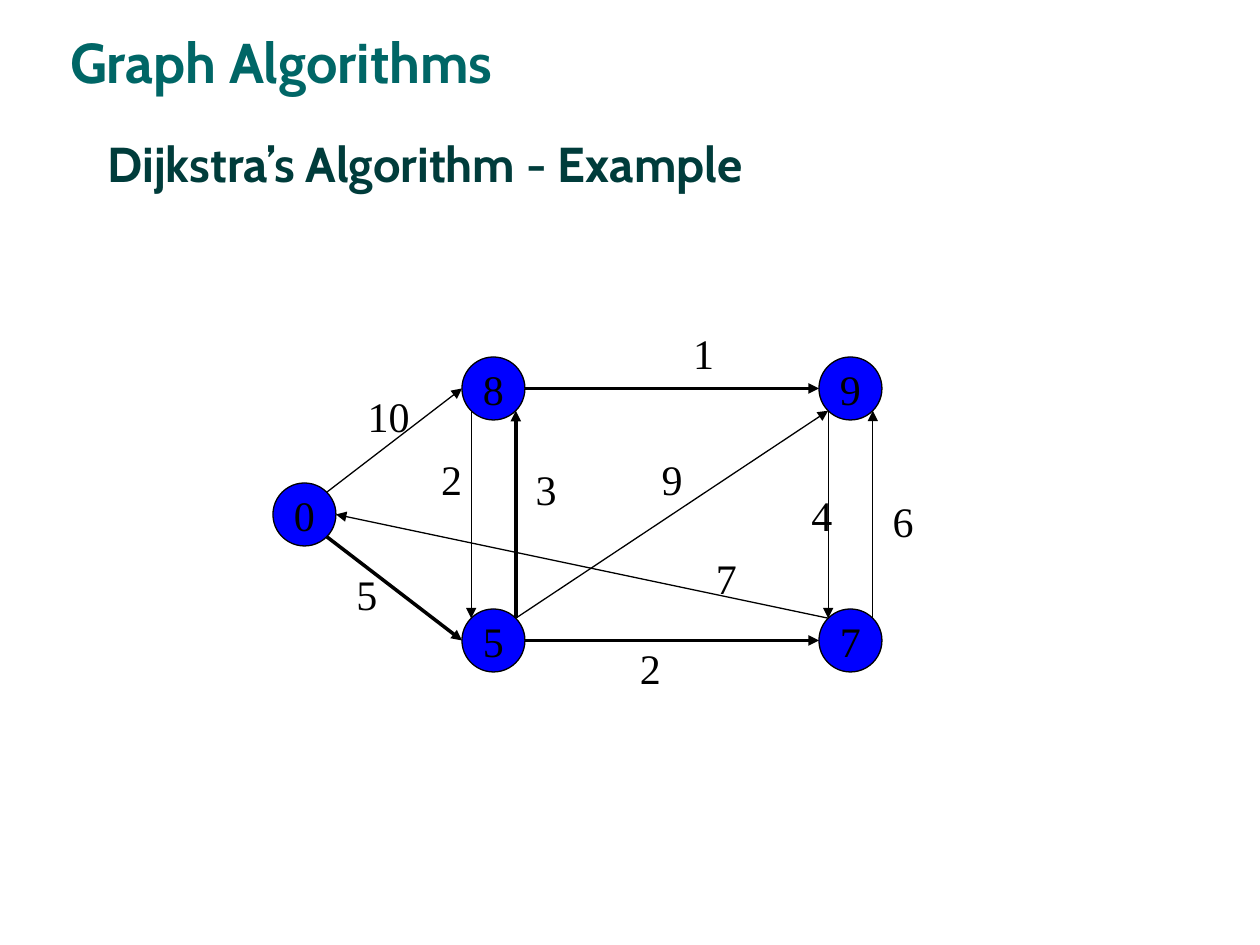
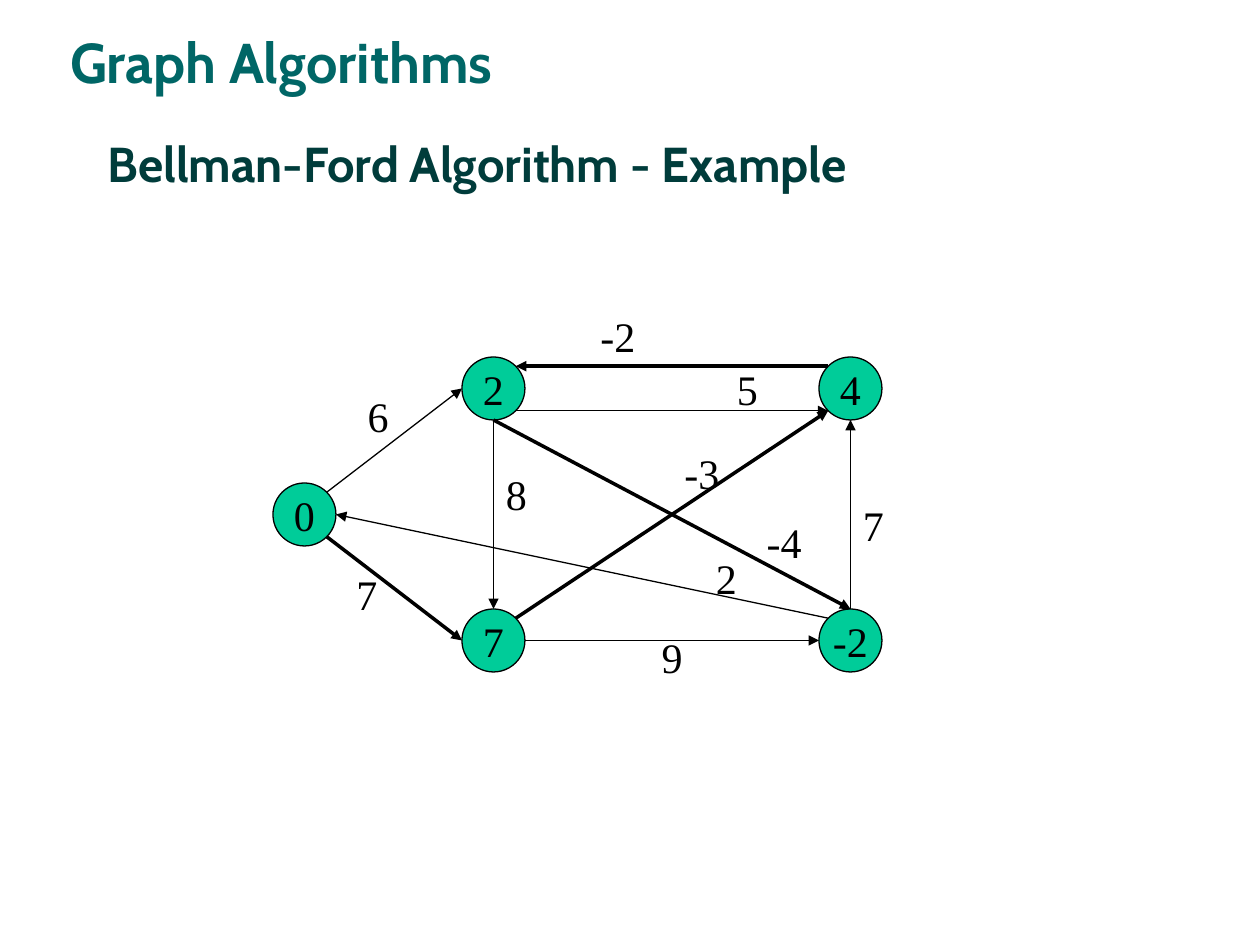
from collections import namedtuple
from math import sqrt

from lxml.etree import SubElement
from pptx import Presentation
from pptx.dml.color import RGBColor
from pptx.enum.shapes import MSO_CONNECTOR as Connector, MSO_SHAPE as Shape
from pptx.enum.text import MSO_ANCHOR as Anchor, PP_ALIGN as Align
from pptx.oxml.ns import qn
from pptx.util import Pt

HEADING_FONT, GRAPH_FONT = "Cabin", "Times New Roman"
TEAL, DARK_TEAL, BLACK = "006666", "003C3B", "000000"
BLUE, GREEN = "0000FF", "00CC99"
THIN, THICK = 0.75, 2
RADIUS = 18

CENTRES = {
    "start": (174, 294),
    "top left": (282, 222),
    "bottom left": (282, 366),
    "top right": (486, 222),
    "bottom right": (486, 366),
}
DIAGONAL = sqrt(0.5)
SIDES = {
    "N": (0, -1), "S": (0, 1), "W": (-1, 0), "E": (1, 0),
    "NW": (-DIAGONAL, -DIAGONAL), "NE": (DIAGONAL, -DIAGONAL),
    "SW": (-DIAGONAL, DIAGONAL), "SE": (DIAGONAL, DIAGONAL),
}

Edge = namedtuple("Edge", "tail tail_side head head_side width weight label_at")

DIJKSTRA_DISTANCES = {
    "start": "0", "bottom left": "5", "top left": "8", "bottom right": "7", "top right": "9",
}
DIJKSTRA_EDGES = [
    Edge("start", "NE", "top left", "W", THIN, "10", (203, 219.5)),
    Edge("top left", "E", "top right", "W", THICK, "1", (389, 183.5)),
    Edge("bottom left", "E", "bottom right", "W", THICK, "2", (358.5, 363.5)),
    Edge("start", "SE", "bottom left", "W", THICK, "5", (196.5, 321.5)),
    Edge("bottom left", "NE", "top right", "SW", THIN, "9", (371, 255.5)),
    Edge("bottom right", "NW", "start", "E", THIN, "7", (402, 312)),
    Edge("bottom left", "NE", "top left", "SE", THICK, "3", (299, 261.5)),
    Edge("top left", "SW", "bottom left", "NW", THIN, "2", (245, 255.5)),
    Edge("top right", "SW", "bottom right", "NW", THIN, "4", (456.5, 276)),
    Edge("bottom right", "NE", "top right", "SE", THIN, "6", (503, 279.5)),
]

BELLMAN_FORD_DISTANCES = {
    "start": "0", "bottom left": "7", "top left": "2", "bottom right": "-2", "top right": "4",
}
BELLMAN_FORD_EDGES = [
    Edge("start", "NE", "top left", "W", THIN, "6", (203, 219.5)),
    Edge("top left", "SE", "top right", "SW", THIN, "5", (414, 204)),
    Edge("start", "SE", "bottom left", "W", THICK, "7", (196.5, 321.5)),
    Edge("bottom left", "NE", "top right", "SW", THICK, "-3", (384, 252)),
    Edge("bottom right", "NW", "start", "E", THIN, "2", (402, 312)),
    Edge("bottom right", "N", "top right", "S", THIN, "7", (486, 282)),
    Edge("top left", "S", "bottom left", "N", THIN, "8", (282, 264)),
    Edge("top right", "NW", "top left", "NE", THICK, "-2", (336, 174)),
    Edge("bottom left", "E", "bottom right", "W", THIN, "9", (371, 357.5)),
    Edge("top left", "S", "bottom right", "N", THICK, "-4", (431, 291.5)),
]


def paint(color_format, hex_color):
    """Set a colour from a hex string."""
    color_format.rgb = RGBColor.from_string(hex_color)


def write(shape, text, font_name, size, color, bold=False):
    """Put one formatted line of text into a shape."""
    shape.text_frame.text = text
    font = shape.text_frame.paragraphs[0].runs[0].font
    font.name, font.size, font.bold = font_name, Pt(size), bold
    paint(font.color, color)


def add_text(page, left, top, width, height, text, *style):
    """Add a text box that holds one line."""
    box = page.shapes.add_textbox(Pt(left), Pt(top), Pt(width), Pt(height))
    write(box, text, *style)
    box.text_frame.word_wrap = False
    return box.text_frame


def add_headings(page, subtitle):
    """Add the shared title and the subtitle of the page."""
    add_text(page, 33, 12, 300, 46, "Graph Algorithms", HEADING_FONT, 32, TEAL, True)
    frame = add_text(page, 54.3, 48, 666, 90, subtitle, HEADING_FONT, 28, DARK_TEAL, True)
    frame.word_wrap = True
    frame.vertical_anchor = Anchor.MIDDLE


def add_node(page, name, distance, fill):
    """Add a graph node showing its distance."""
    x, y = CENTRES[name]
    node = page.shapes.add_shape(
        Shape.FLOWCHART_CONNECTOR, Pt(x - RADIUS), Pt(y - RADIUS), Pt(2 * RADIUS), Pt(2 * RADIUS))
    node.shadow.inherit = False
    node.fill.solid()
    paint(node.fill.fore_color, fill)
    paint(node.line.color, BLACK)
    node.line.width = Pt(THIN)
    write(node, distance, GRAPH_FONT, 24, BLACK)
    node.text_frame.word_wrap = False
    node.text_frame.vertical_anchor = Anchor.MIDDLE
    node.text_frame.paragraphs[0].alignment = Align.CENTER


def rim_point(name, side):
    """Return the point on a node's rim in a compass direction."""
    return [Pt(centre + RADIUS * step) for centre, step in zip(CENTRES[name], SIDES[side])]


def add_arrow(page, edge):
    """Draw an edge from its tail node to its head node."""
    arrow = page.shapes.add_connector(
        Connector.STRAIGHT,
        *rim_point(edge.tail, edge.tail_side), *rim_point(edge.head, edge.head_side))
    paint(arrow.line.color, BLACK)
    arrow.line.width = Pt(edge.width)
    properties = arrow.element.spPr
    SubElement(properties.find(qn("a:ln")), qn("a:tailEnd"), type="triangle")
    SubElement(properties, qn("a:effectLst"))


def add_weight(page, edge):
    """Label an edge with its weight."""
    width = 15 + sum(8 if sign == "-" else 12 for sign in edge.weight)
    add_text(page, *edge.label_at, width, 36, edge.weight, GRAPH_FONT, 24, BLACK)


def add_graph_page(deck, subtitle, fill, distances, edges):
    """Add a page with headings and a weighted graph."""
    page = deck.slides.add_slide(deck.slide_layouts[6])
    add_headings(page, subtitle)
    for name, distance in distances.items():
        add_node(page, name, distance, fill)
    for edge in edges:
        add_arrow(page, edge)
    for edge in edges:
        add_weight(page, edge)


def main():
    """Build and save the deck."""
    deck = Presentation()
    deck.slide_width, deck.slide_height = Pt(720), Pt(540)
    add_graph_page(deck, "Dijkstra’s Algorithm - Example", BLUE,
                   DIJKSTRA_DISTANCES, DIJKSTRA_EDGES)
    add_graph_page(deck, "Bellman-Ford Algorithm - Example", GREEN,
                   BELLMAN_FORD_DISTANCES, BELLMAN_FORD_EDGES)
    deck.save("out.pptx")


if __name__ == "__main__":
    main()
